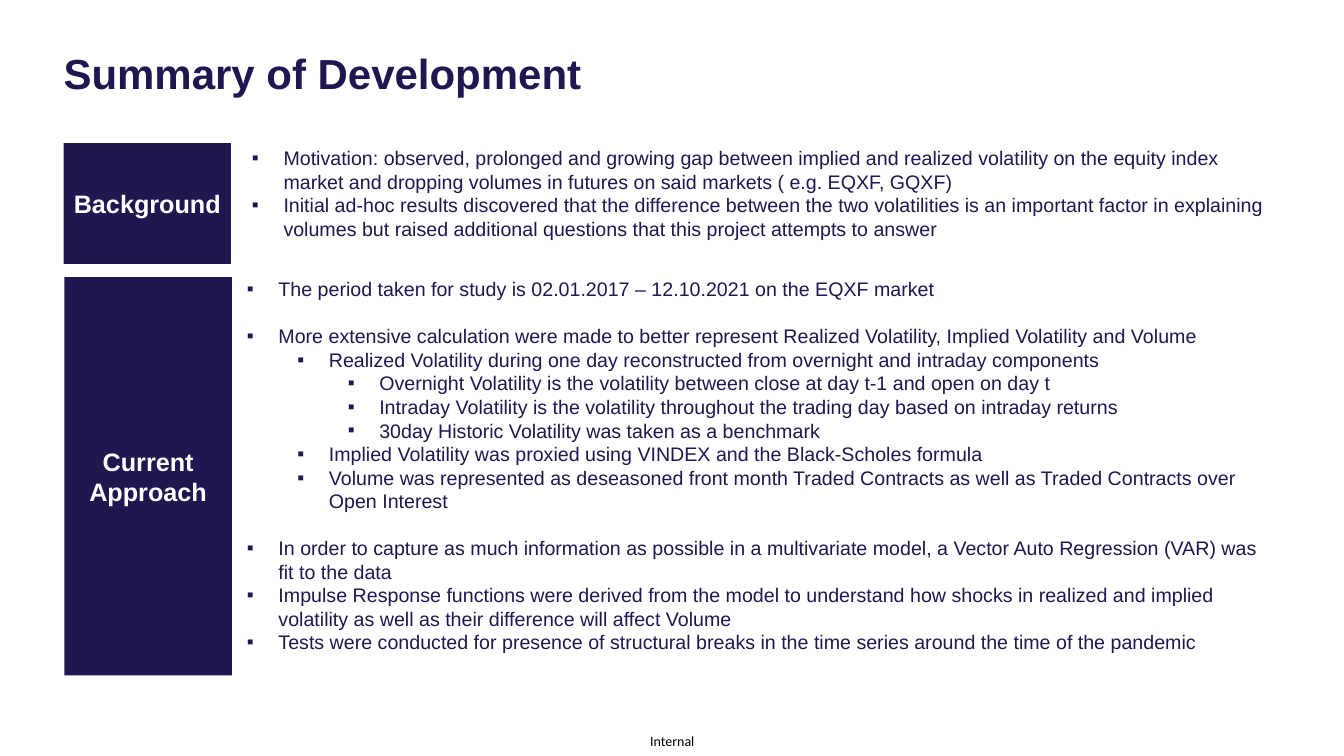
from pptx import Presentation
from pptx.dml.color import RGBColor
from pptx.enum.shapes import MSO_SHAPE
from pptx.enum.text import MSO_ANCHOR, MSO_AUTO_SIZE, PP_ALIGN
from pptx.oxml.ns import qn
from pptx.util import Pt
from lxml.etree import SubElement

NAVY = "201751"
WHITE = "FEFFFF"
FIRST_INDENT, LEVEL_INDENT = 22.5, 36


def add_text(paragraph, text, size, color, bold=False, font="Arial"):
    run = paragraph.add_run()
    run.text = text
    run.font.size = Pt(size)
    run.font.name = font
    run.font.bold = bold
    run.font.color.rgb = RGBColor.from_string(color)


def place(shape, left, top, width, height, anchor=MSO_ANCHOR.TOP):
    shape.left, shape.top = Pt(left), Pt(top)
    shape.width, shape.height = Pt(width), Pt(height)
    frame = shape.text_frame
    frame.margin_left = frame.margin_right = frame.margin_top = frame.margin_bottom = 0
    frame.word_wrap = True
    frame.auto_size = MSO_AUTO_SIZE.NONE
    frame.vertical_anchor = anchor
    return frame


background_points = [
    (0, 0, "Motivation: observed, prolonged and growing gap between implied and realized volatility on the equity index market and dropping volumes in futures on said markets ( e.g. EQXF, GQXF)"),
    (0, 0, "Initial ad-hoc results discovered that the difference between the two volatilities is an important factor in explaining volumes but raised additional questions that this project attempts to answer"),
]
approach_points = [
    (0, 0, "The period taken for study is 02.01.2017 – 12.10.2021 on the EQXF market"),
    (0, 16.8, "More extensive calculation were made to better represent Realized Volatility, Implied Volatility and Volume"),
    (1, 0, "Realized Volatility during one day reconstructed from overnight and intraday components"),
    (2, 0, "Overnight Volatility is the volatility between close at day t-1 and open on day t"),
    (2, 0, "Intraday Volatility is the volatility throughout the trading day based on intraday returns"),
    (2, 0, "30day Historic Volatility was taken as a benchmark"),
    (1, 0, "Implied Volatility was proxied using VINDEX and the Black-Scholes formula"),
    (1, 0, "Volume was represented as deseasoned front month Traded Contracts as well as Traded Contracts over Open Interest"),
    (0, 16.8, "In order to capture as much information as possible in a multivariate model, a Vector Auto Regression (VAR) was fit to the data"),
    (0, 0, "Impulse Response functions were derived from the model to understand how shocks in realized and implied volatility as well as their difference will affect Volume"),
    (0, 0, "Tests were conducted for presence of structural breaks in the time series around the time of the pandemic"),
]
sections = [
    ("Background", 45.5, 102.2, 86.4, 180, 104.4, background_points),
    ("Current Approach", 46.1, 198, 284.4, 176.4, 198, approach_points),
]

presentation = Presentation()
presentation.slide_width, presentation.slide_height = Pt(960), Pt(540)
slide = presentation.slides.add_slide(presentation.slide_layouts[3])
slide.background.fill.solid()
slide.background.fill.fore_color.rgb = RGBColor.from_string(WHITE)
title, *bodies = slide.placeholders

heading = place(title, 45.4, 30.2, 660, 44.6).paragraphs[0]
heading.alignment = PP_ALIGN.LEFT
heading.line_spacing = 1.1
add_text(heading, "Summary of Development", 30, NAVY, bold=True)

for body, (name, left, top, height, text_left, text_top, points) in zip(bodies, sections):
    label = slide.shapes.add_shape(MSO_SHAPE.RECTANGLE, 0, 0, 0, 0)
    label.shadow.inherit = False
    label.fill.solid()
    label.fill.fore_color.rgb = RGBColor.from_string(NAVY)
    label.line.fill.background()
    label_frame = place(label, left, top, 119.5, height, MSO_ANCHOR.MIDDLE)
    label_frame.margin_left = label_frame.margin_right = Pt(5.8)
    label_frame.paragraphs[0].alignment = PP_ALIGN.CENTER
    add_text(label_frame.paragraphs[0], name, 18, WHITE, bold=True)

    body_frame = place(body, text_left, text_top, 733.7, height)
    for index, (level, gap, text) in enumerate(points):
        point = body_frame.add_paragraph() if index else body_frame.paragraphs[0]
        point.level = level
        point.space_before, point.space_after = Pt(gap), Pt(0)
        properties = point._p.get_or_add_pPr()
        properties.set("marL", str(Pt(FIRST_INDENT + LEVEL_INDENT * level)))
        properties.set("indent", str(-Pt(FIRST_INDENT)))
        SubElement(properties, qn("a:buFont"), typeface="Arial")
        SubElement(properties, qn("a:buChar"), char="▪")
        add_text(point, text, 14, NAVY)

classification = slide.shapes.add_textbox(0, 0, 0, 0)
classification_line = place(classification, 453.6, 519.1, 53.3, 20.9, MSO_ANCHOR.MIDDLE).paragraphs[0]
classification_line.alignment = PP_ALIGN.CENTER
add_text(classification_line, "Internal", 10, "000000", font="Calibri")

presentation.save("out.pptx")
